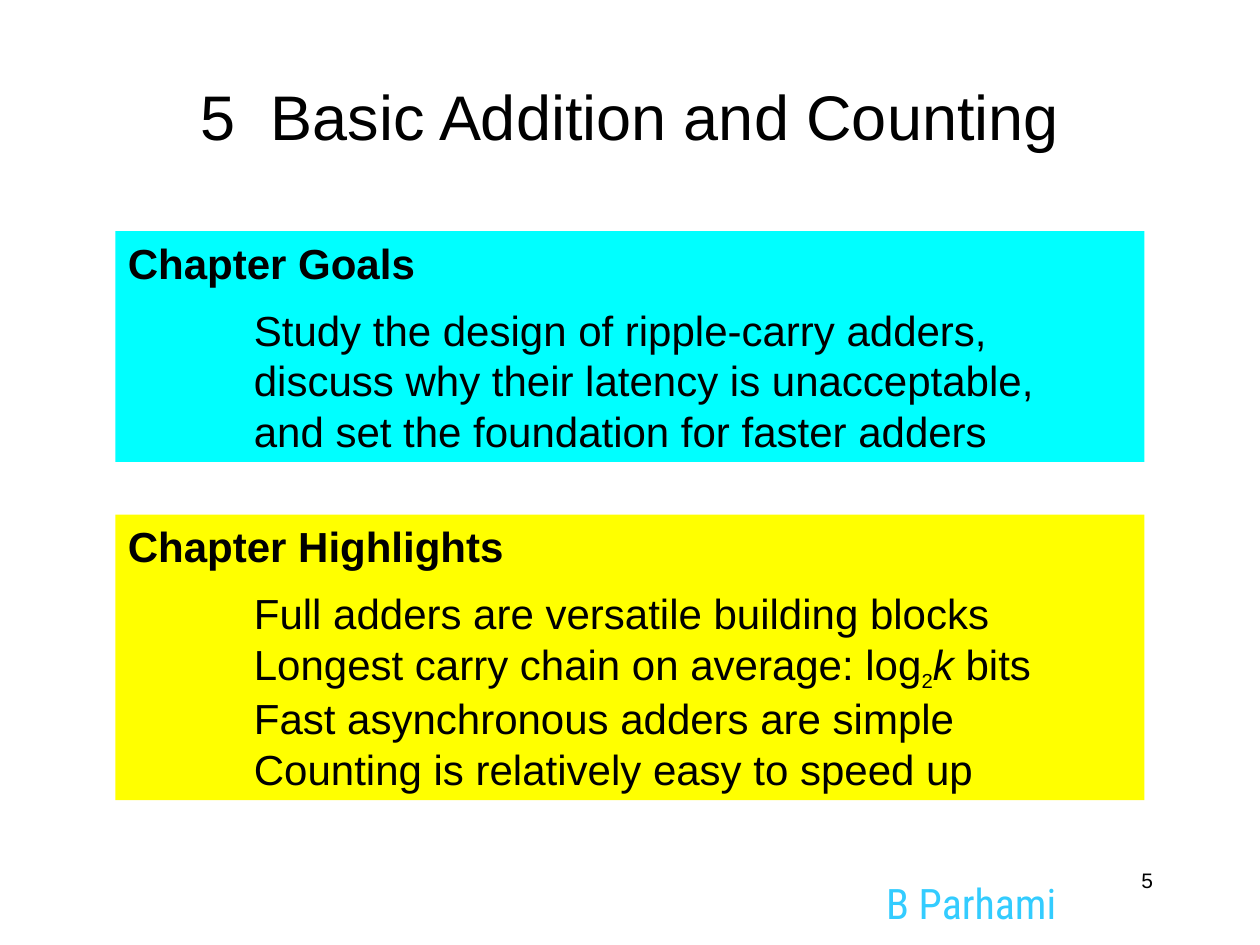
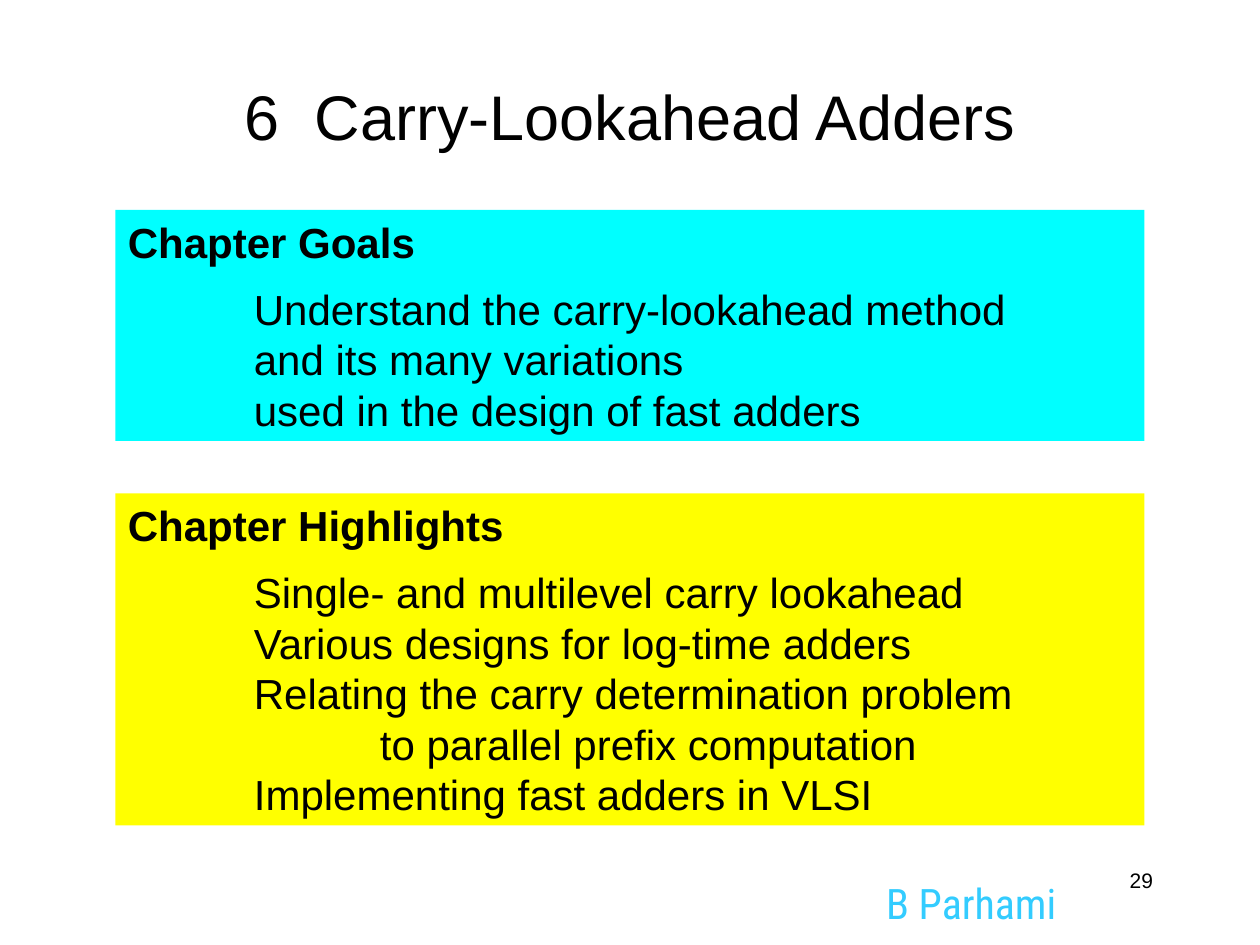
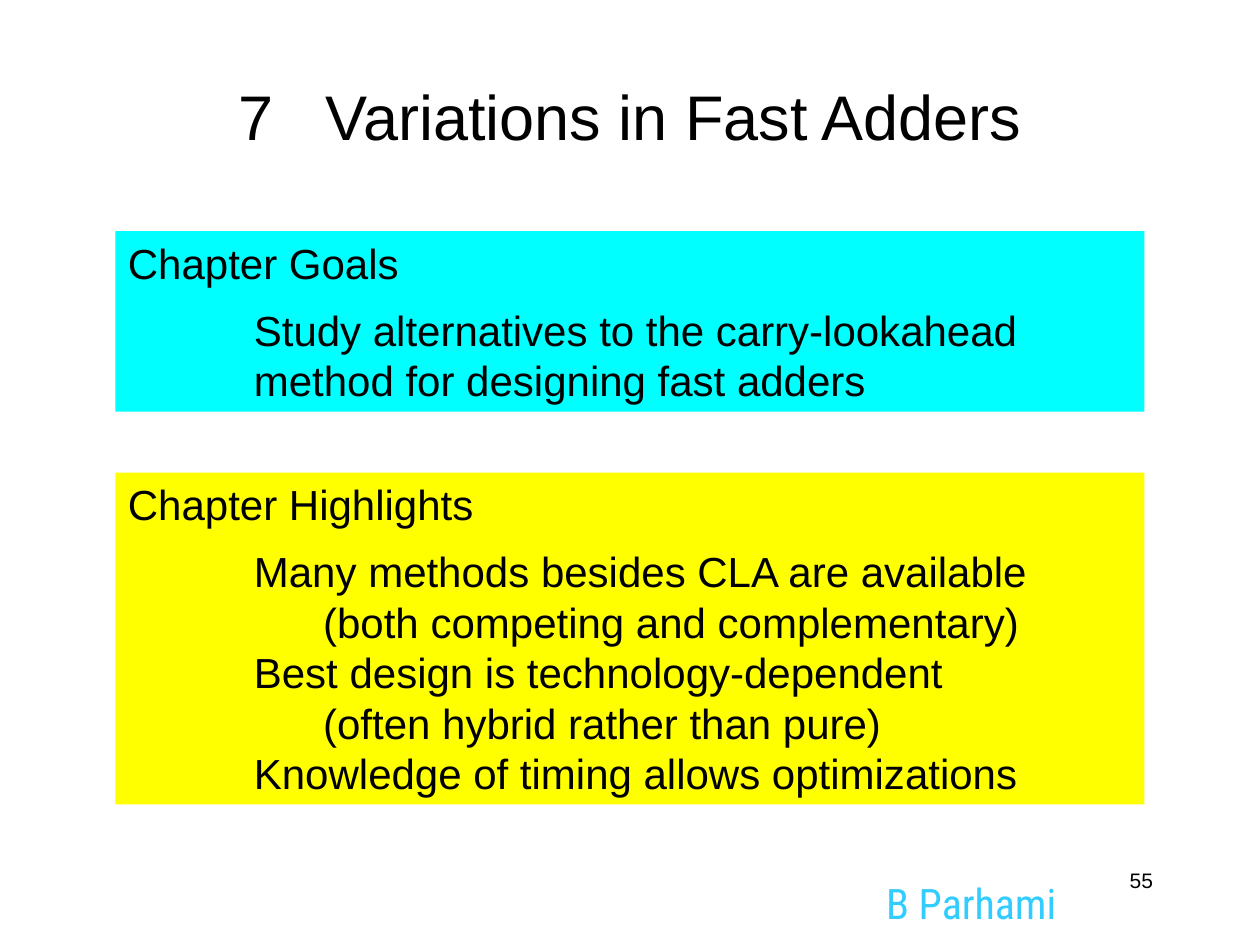
from dataclasses import dataclass, field
from typing import Any

from pptx import Presentation
from pptx.dml.color import RGBColor as Rgb
from pptx.enum.shapes import MSO_SHAPE as Kind
from pptx.enum.text import MSO_ANCHOR as Anchor, PP_ALIGN as Align
from pptx.util import Inches, Pt


@dataclass(frozen=True)
class Theme:
    """Colours, fonts and type sizes of the deck."""

    ink: str = "000000"
    goal: str = "00FFFF"
    high: str = "FFFF00"
    mark: str = "33CCFF"
    face: str = "Arial"
    slim: str = "Roboto Condensed"
    head: int = 36
    body: int = 24
    sub: int = 20
    page: int = 12
    lead: float = 1.2
    gap: float = 9.6
    pad: float = 7.2


@dataclass(frozen=True)
class Span:
    """A run of text with its own format and raw run properties."""

    text: str
    form: dict[str, Any] = field(default_factory=dict)
    raw: dict[str, str] = field(default_factory=dict)


@dataclass(frozen=True)
class Line:
    """One line of a panel: spans, indent in inches, space after, extra pitch."""

    spans: tuple[Span, ...]
    dent: float = 1
    after: float = 0
    extra: float = 0


@dataclass(frozen=True)
class Panel:
    """A coloured box with a heading and lines, placed on a grid row."""

    name: str
    fill: str
    row: int
    lines: tuple[Line, ...]


@dataclass(frozen=True)
class Page:
    """A chapter opener; wide is the extra space after the number in points."""

    num: str
    title: str
    wide: int
    bold: bool
    folio: int
    panels: tuple[Panel, ...]


LOOK = Theme()
COLS, ROWS = 120, 90
WIDE, HIGH = Inches(10), Inches(7.5)
LEFT, SPAN = 11, 98
DENT = 1.55


def area(col: int, row: int, cols: int, rows: int) -> tuple[int, ...]:
    """Turn grid cells into left, top, width and height."""
    return (WIDE * col // COLS, HIGH * row // ROWS,
            WIDE * cols // COLS, HIGH * rows // ROWS)


def plain(text: str, dent: float = 1) -> Line:
    """Make a line of one plain span."""
    return Line((Span(text),), dent)


def write(para: Any, spans: tuple[Span, ...], size: int, extra: float = 0,
          face: str = LOOK.face, tint: str = LOOK.ink) -> None:
    """Fill a paragraph with spans on a fixed line pitch."""
    para.line_spacing = Pt(size * LOOK.lead + extra)
    for span in spans:
        run = para.add_run()
        run.text = span.text
        look = {"size": Pt(size), "name": face} | span.form
        for key, val in look.items():
            setattr(run.font, key, val)
        run.font.color.rgb = Rgb.from_string(tint)
        for key, val in span.raw.items():
            run.font._element.set(key, val)


def label(slide: Any, box: tuple[int, ...], spans: tuple[Span, ...], size: int,
          align: Any, anchor: Any = Anchor.TOP, **form: Any) -> None:
    """Draw a one-paragraph text box."""
    frame = slide.shapes.add_textbox(*box).text_frame
    for key, val in {"word_wrap": True, "vertical_anchor": anchor}.items():
        setattr(frame, key, val)
    para = frame.paragraphs[0]
    para.alignment = align
    write(para, spans, size, **form)


def block(slide: Any, panel: Panel, bold: bool) -> None:
    """Draw a panel whose height follows from its lines."""
    left, top, wide, _ = area(LEFT, panel.row, SPAN, 0)
    lines = (Line((Span(panel.name, {"bold": bold}),), 0, LOOK.gap),
             *panel.lines)
    tall = LOOK.pad + sum(LOOK.body * LOOK.lead + line.after + line.extra
                          for line in lines)
    shape = slide.shapes.add_shape(Kind.RECTANGLE, left, top, wide, Pt(tall))
    shape.shadow.inherit = False
    shape.fill.solid()
    shape.fill.fore_color.rgb = Rgb.from_string(panel.fill)
    shape.line.fill.background()
    frame = shape.text_frame
    for key, val in {"word_wrap": True, "vertical_anchor": Anchor.TOP}.items():
        setattr(frame, key, val)
    for rank, line in enumerate(lines):
        para = frame.add_paragraph() if rank else frame.paragraphs[0]
        para._p.get_or_add_pPr().set("marL", str(Inches(line.dent)))
        para.alignment = Align.LEFT
        if line.after:
            para.space_after = Pt(line.after)
        write(para, line.spans, LOOK.body, line.extra)


def draw(slide: Any, page: Page) -> None:
    """Draw one chapter opener with its footer."""
    label(slide, area(82, 83, 21, 5), (Span("B Parhami"),), LOOK.body,
          Align.CENTER, face=LOOK.slim, tint=LOOK.mark)
    title = (Span(page.num), Span(" ", raw={"spc": str(page.wide * 100)}),
             Span(page.title))
    label(slide, area(5, 5, 110, 12), title, LOOK.head, Align.CENTER,
          anchor=Anchor.MIDDLE)
    for panel in page.panels:
        block(slide, panel, page.bold)
    label(slide, area(86, 82, 25, 6), (Span(str(page.folio)),), LOOK.page,
          Align.RIGHT)


def goals(row: int, *lines: Line) -> Panel:
    """Make the goals panel."""
    return Panel("Chapter Goals", LOOK.goal, row, lines)


def highs(row: int, *lines: Line) -> Panel:
    """Make the highlights panel."""
    return Panel("Chapter Highlights", LOOK.high, row, lines)


CHAIN = Line((
    Span("Longest carry chain on average: log"),
    Span("2", {"size": Pt(LOOK.sub)}, {"baseline": "-25000"}),
    Span("k", {"italic": True}),
    Span(" bits"),
), extra=2.4)

PAGES = (
    Page("5", "Basic Addition and Counting", 10, True, 5, (
        goals(22,
              plain("Study the design of ripple-carry adders,"),
              plain("discuss why their latency is unacceptable,"),
              plain("and set the foundation for faster adders")),
        highs(49,
              plain("Full adders are versatile building blocks"),
              CHAIN,
              plain("Fast asynchronous adders are simple"),
              plain("Counting is relatively easy to speed up")))),
    Page("6", "Carry-Lookahead Adders", 10, True, 29, (
        goals(20,
              plain("Understand the carry-lookahead method"),
              plain("and its many variations"),
              plain("used in the design of fast adders")),
        highs(47,
              plain("Single- and multilevel carry lookahead"),
              plain("Various designs for log-time adders"),
              plain("Relating the carry determination problem"),
              plain("to parallel prefix computation", 2),
              plain("Implementing fast adders in VLSI")))),
    Page("7", "Variations in Fast Adders", 20, False, 55, (
        goals(22,
              plain("Study alternatives to the carry-lookahead"),
              plain("method for designing fast adders")),
        highs(45,
              plain("Many methods besides CLA are available"),
              plain("(both competing and complementary)", DENT),
              plain("Best design is technology-dependent"),
              plain("(often hybrid rather than pure)", DENT),
              plain("Knowledge of timing allows optimizations")))),
)


def main() -> None:
    """Build and save the deck."""
    deck = Presentation()
    for key, val in {"slide_width": WIDE, "slide_height": HIGH}.items():
        setattr(deck, key, val)
    for page in PAGES:
        draw(deck.slides.add_slide(deck.slide_layouts[6]), page)
    deck.save("out.pptx")


if __name__ == "__main__":
    main()
